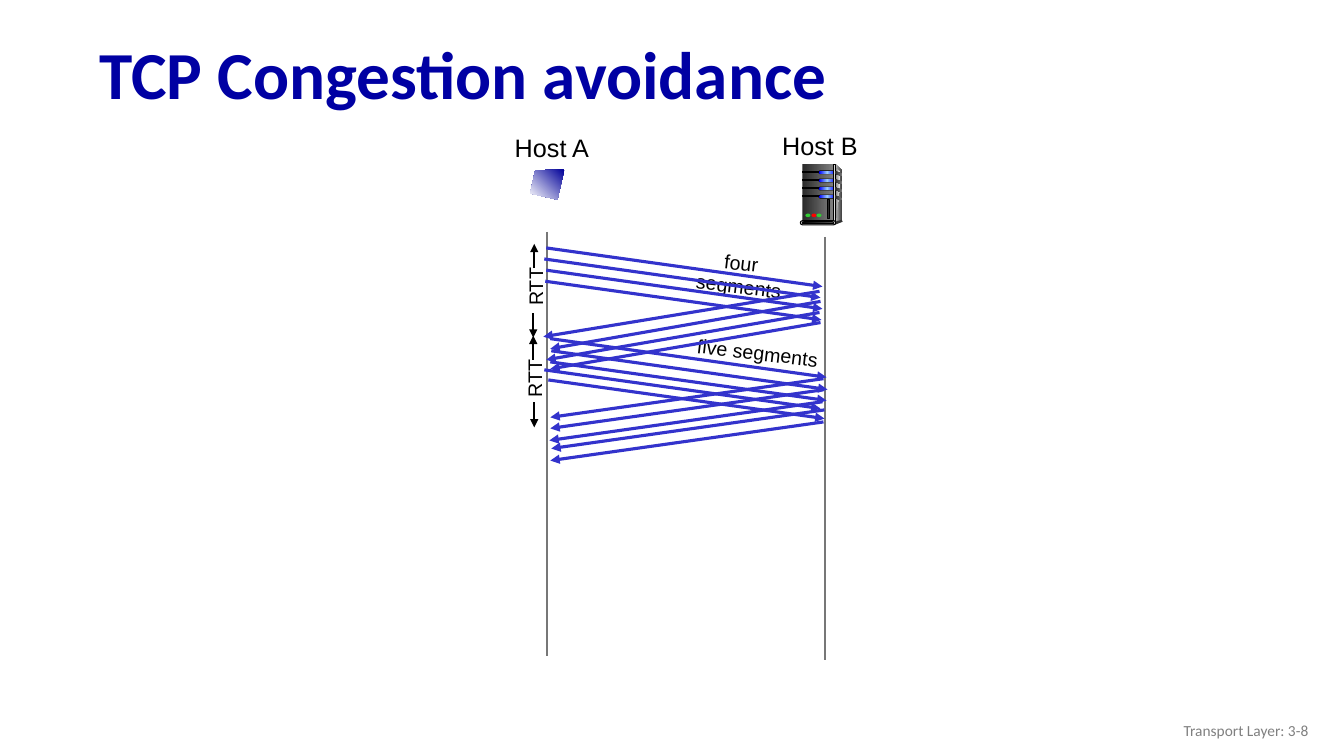
from lxml import etree
from pptx import Presentation, util as u
from pptx.dml.color import RGBColor
from pptx.enum import shapes, text
from pptx.oxml import ns

BLACK, BLUE, GREY = "000000", "3333CC", "777777"
LEFT, CENTER, RIGHT = text.PP_ALIGN.LEFT, text.PP_ALIGN.CENTER, text.PP_ALIGN.RIGHT
TOP, MIDDLE = text.MSO_ANCHOR.TOP, text.MSO_ANCHOR.MIDDLE
RECT, ROUND, OVAL = (shapes.MSO_SHAPE.RECTANGLE, shapes.MSO_SHAPE.ROUNDED_RECTANGLE,
                     shapes.MSO_SHAPE.OVAL)

TITLE = ("TCP Congestion avoidance", (64, 20.2, 895, 70.6), 48, "Calibri", "0000A3", LEFT, MIDDLE)
FOOTER = ("Transport Layer: 3-8", (725.8, 507.6, 216, 28.8), 11, "Calibri", "808080", RIGHT, MIDDLE)
LABELS = [
    ("Host A", (360, 90.7, 68.4, 28.8), 18, 0, False),
    ("Host B", (551.5, 89.5, 68.4, 28.8), 18, 0, False),
    ("RTT", (361.4, 193, 41.8, 23.8), 14, 270, False),
    ("RTT", (360.7, 258.5, 41.8, 23.8), 14, 270, False),
    ("four segments", (489.6, 175.7, 80, 23.8), 14, 6.8, True),
    ("five segments", (490.3, 239.8, 101.5, 24.5), 14, 6.8, False),
]
TIMELINES = [(391, 165.6, 391, 468.7), (589, 169.2, 589, 471.6)]
RTT_ARROWS = [
    (381.6, 191.5, 381.6, 174.2), (380.9, 223.9, 380.9, 241.2),
    (380.9, 257, 380.9, 239.8), (381.6, 287.3, 381.6, 305.3),
]
SEGMENT_SPAN = (197.3, 27.6)
SEGMENT_STARTS = [
    (390.2, 177.1), (388.8, 185), (390.2, 193), (389.5, 200.9),
    (393.1, 241.9), (393.8, 250.6), (393.1, 258.5), (388.8, 264.2), (391.7, 271.4),
]
FIRST_ACKS = [
    (585.4, 208.1, 388.1, 240.5), (586.1, 215.3, 393.1, 249.1),
    (585.4, 223.2, 390.2, 257), (586.1, 230.4, 393.1, 263.5),
]
ACK_SPAN = (195.1, -27.6)
SECOND_ACK_TIPS = [(393.1, 298.1), (393.1, 306), (392.4, 314.6), (393.8, 320.4), (393.1, 329)]

DARK_METAL = ["292929", "808080"]
LIGHT_BLUE = ["0000FF", "99CCFF", "0000FF"]
SCREEN = ([(403.2, 121), (382.3, 121.7), (378.7, 138.2), (398.2, 142.6)], ["000099", "FFFFFF"], 135)
CABINET_SIDE = [(596.9, 117.4), (601.9, 122.4), (601.9, 157), (595.4, 158.4)]
CABINET_EDGE = [(596.9, 120.2), (600.5, 123.1), (599, 141), (596.9, 157.7)]
CABINET_FOOT = [(596.2, 158.4), (596.2, 160.6), (601.9, 158.4), (601.2, 157)]
BAY_COUNT, BAY_TOP, BAY_STEP = 4, 122.2, 5.8
BAY_PARTS = [
    (RECT, (573.5, 0.2, 13, 0.7), BLACK, BLACK),
    (ROUND, (584.6, -0.5, 12.2, 2.7), BLACK, None),
    (ROUND, (585.2, 0, 11.5, 2.1), LIGHT_BLUE, None),
]
NOTCH = [(596.5, 0), (601.9, 2.2), (601.9, 3.6), (596.5, 2)]
CABINET_FRONT = (RECT, (573.1, 117.4, 22.3, 41), DARK_METAL, None)
CABINET_SPINE = (RECT, (595.4, 117.4, 1.4, 41), ["333333", "DDDDDD", "333333"], BLACK)
CABINET_TRIM = [
    (ROUND, (571.7, 157.7, 25.2, 2.9), "DDDDDD", BLACK),
    (ROUND, (573.1, 158.4, 22.3, 1.4), [BLACK, "808080"], BLACK),
    (OVAL, (575.3, 152.6, 3.6, 2.5), "33CC33", None),
    (OVAL, (579.6, 152.6, 3.6, 2.5), "FF0000", None),
    (OVAL, (583.2, 152.6, 3.6, 2.5), "33CC33", None),
    (RECT, (591.1, 142.6, 1.4, 13.7), "292929", BLACK),
]


def color(code):
    return RGBColor.from_string(code)


def paint(shape, fill, line=None, angle=0):
    shape.shadow.inherit = False
    if isinstance(fill, str):
        shape.fill.solid()
        shape.fill.fore_color.rgb = color(fill)
    else:
        shape.fill.gradient()
        gradient = shape._element.spPr.find(ns.qn("a:gradFill"))
        for child in list(gradient):
            gradient.remove(child)
        stops = etree.SubElement(gradient, ns.qn("a:gsLst"))
        for index, code in enumerate(fill):
            position = 100000 * index // (len(fill) - 1)
            stop = etree.SubElement(stops, ns.qn("a:gs"), pos=str(position))
            etree.SubElement(stop, ns.qn("a:srgbClr"), val=code)
        etree.SubElement(gradient, ns.qn("a:lin"), ang=str(angle * 60000), scaled="0")
    if line:
        shape.line.color.rgb = color(line)
        shape.line.width = u.Pt(0.75)
    else:
        shape.line.fill.background()


def add_part(page, kind, place, fill, line):
    part = page.shapes.add_shape(kind, *map(u.Pt, place))
    if kind == ROUND:
        part.adjustments[0] = 0.5
    paint(part, fill, line)


def add_outline(page, points, fill, angle=0):
    corners = [(u.Pt(x), u.Pt(y)) for x, y in points]
    builder = page.shapes.build_freeform(*corners[0])
    builder.add_line_segments(corners[1:], close=True)
    paint(builder.convert_to_shape(), fill, angle=angle)


def add_line(page, ends, code, width, arrow=True):
    line = page.shapes.add_connector(shapes.MSO_CONNECTOR.STRAIGHT, *map(u.Pt, ends))
    line.line.color.rgb = color(code)
    line.line.width = u.Pt(width)
    if arrow:
        etree.SubElement(line.line._get_or_add_ln(), ns.qn("a:tailEnd"), type="triangle")
    etree.SubElement(line._element.spPr, ns.qn("a:effectLst"))


def add_text(page, words, place, size, font, code, align, anchor, wrap=True):
    box = page.shapes.add_textbox(*map(u.Pt, place))
    frame = box.text_frame
    frame.text = words
    frame.word_wrap = wrap
    frame.vertical_anchor = anchor
    para = frame.paragraphs[0]
    para.alignment = align
    span = para.runs[0]
    span.font.size = u.Pt(size)
    span.font.name = font
    span.font.color.rgb = color(code)
    return box


def add_server(page):
    add_outline(page, CABINET_SIDE, ["DDDDDD", "333333"])
    add_part(page, *CABINET_FRONT)
    add_outline(page, CABINET_EDGE, ["808080", "F8F8F8"])
    bay_tops = [BAY_TOP + BAY_STEP * index for index in range(BAY_COUNT)]
    for top in bay_tops:
        for kind, (x, y, width, height), fill, line in BAY_PARTS:
            add_part(page, kind, (x, top + y, width, height), fill, line)
    add_part(page, *CABINET_SPINE)
    for top in bay_tops:
        add_outline(page, [(x, top + y) for x, y in NOTCH], DARK_METAL)
    add_outline(page, CABINET_FOOT, "333333")
    for part in CABINET_TRIM:
        add_part(page, *part)


def main():
    deck = Presentation()
    deck.slide_width, deck.slide_height = u.Pt(960), u.Pt(540)
    page = deck.slides.add_slide(deck.slide_layouts[6])

    title = add_text(page, *TITLE).text_frame.paragraphs[0]
    title.line_spacing = 0.9
    title.runs[0].font.bold = True
    add_text(page, *FOOTER)

    for ends in TIMELINES:
        add_line(page, ends, GREY, 1.5, arrow=False)
    add_outline(page, *SCREEN)
    add_server(page)

    for words, place, size, turn, wrap in LABELS:
        box = add_text(page, words, place, size, "Arial", BLACK, CENTER, TOP, wrap)
        box.rotation = turn
    for ends in RTT_ARROWS:
        add_line(page, ends, BLACK, 1.5)

    across, down = SEGMENT_SPAN
    segments = [(x, y, x + across, y + down) for x, y in SEGMENT_STARTS]
    across, down = ACK_SPAN
    second_acks = [(x + across, y + down, x, y) for x, y in SECOND_ACK_TIPS]
    for ends in segments + FIRST_ACKS + second_acks:
        add_line(page, ends, BLUE, 2.25)

    deck.save("out.pptx")


if __name__ == "__main__":
    main()
